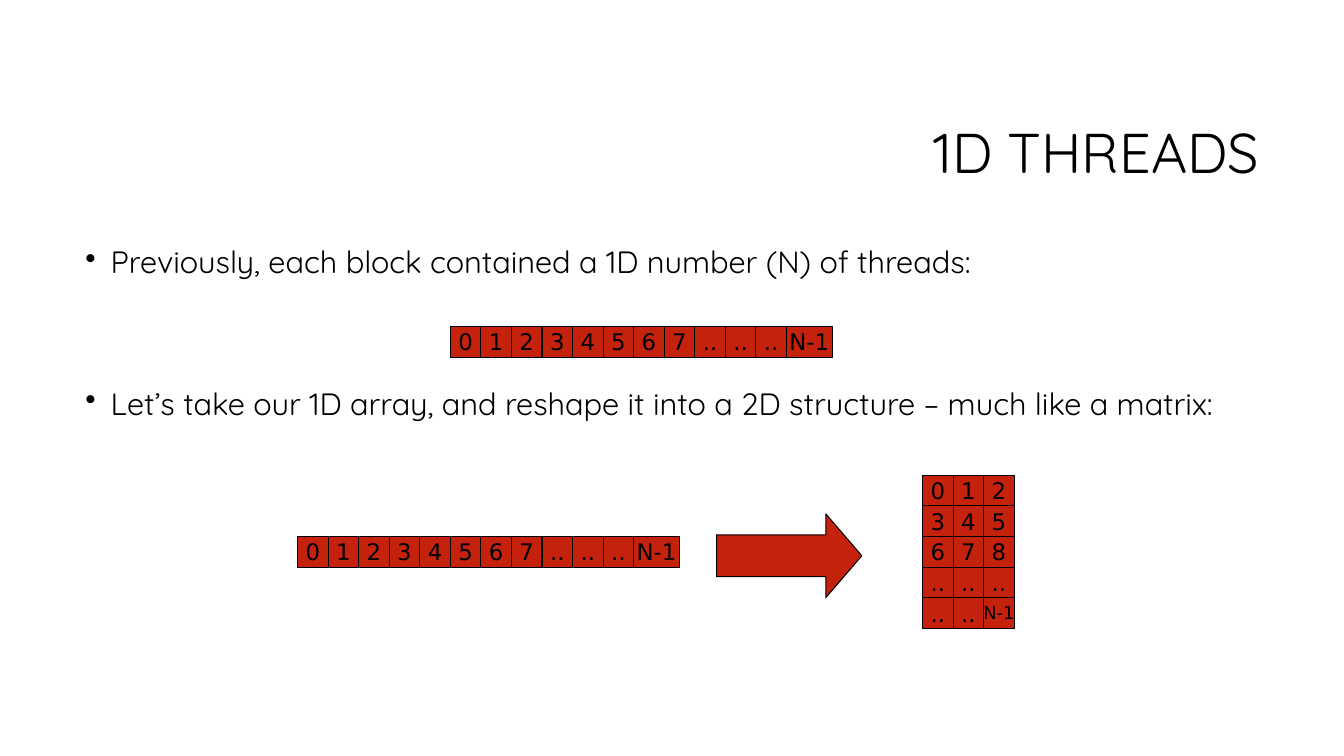
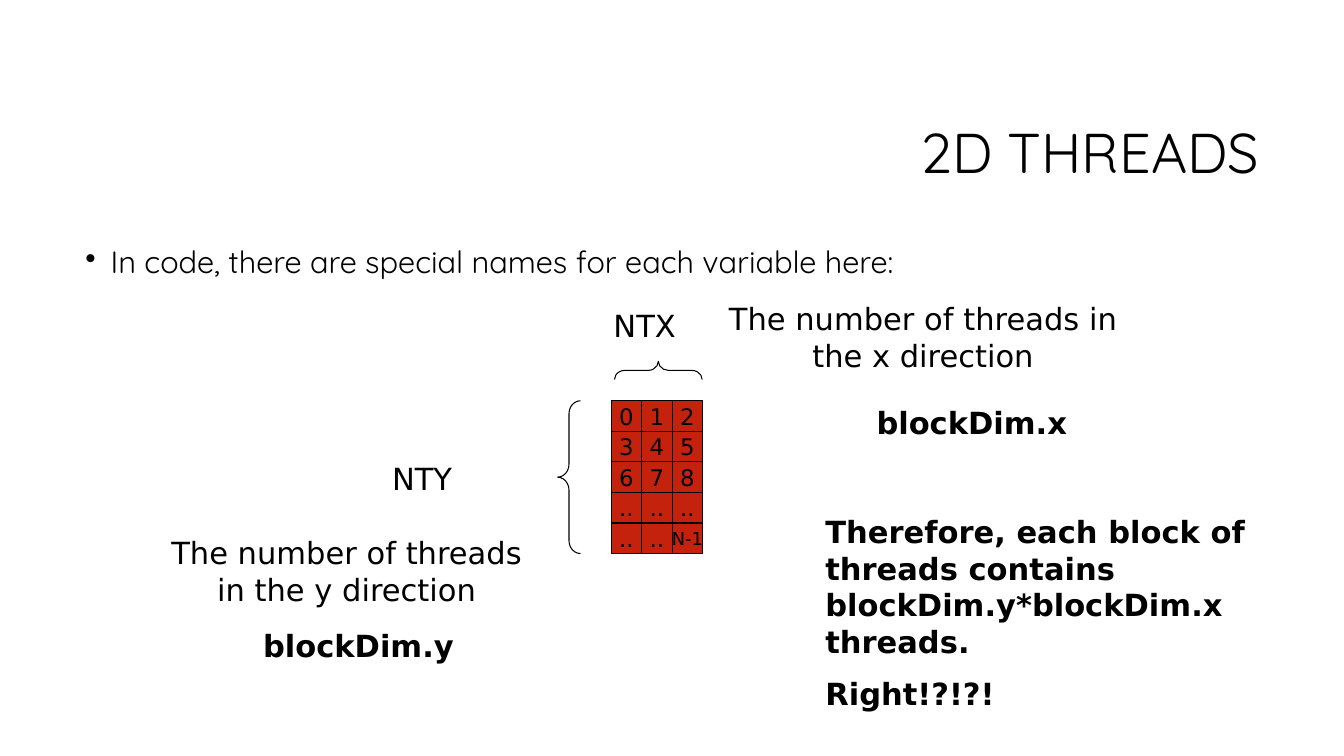
from lxml import etree
from pptx import Presentation
from pptx.dml.color import RGBColor
from pptx.enum.shapes import MSO_SHAPE as Shape
from pptx.enum.text import MSO_ANCHOR as Anchor, MSO_AUTO_SIZE as Fit, PP_ALIGN as Align
from pptx.oxml.ns import qn
from pptx.util import Cm, Pt

RED, BLACK = "C4220D", "000000"
HEAD, BODY = "Quicksand", "DejaVu Sans"
CELL = 0.77
ROW = ["0", "1", "2", "3", "4", "5", "6", "7", "..", "..", "..", "N-1"]
GRID = [
    ["0", "1", "2"],
    ["3", "4", "5"],
    ["6", "7", "8"],
    ["..", "..", ".."],
    ["..", "..", "N-1"],
]


def color(code):
    return RGBColor.from_string(code)


def style(para, size, font=BODY, bold=False, align=Align.LEFT):
    para.alignment = align
    for run in para.runs:
        run.font.name = font
        run.font.size = Pt(size)
        run.font.bold = bold
        run.font.color.rgb = color(BLACK)


def add_slide(deck, title):
    slide = deck.slides.add_slide(deck.slide_layouts[5])
    box = slide.shapes.title
    box.left, box.top, box.width, box.height = Cm(8.05), Cm(2.13), Cm(23.93), Cm(3.58)
    frame = box.text_frame
    frame.text = title
    frame.auto_size = Fit.NONE
    frame.vertical_anchor = Anchor.MIDDLE
    para = frame.paragraphs[0]
    para.line_spacing = 0.9
    style(para, 40, HEAD, align=Align.RIGHT)
    return slide


def add_text(slide, x, y, w, h, *lines, gap=0):
    """Add a wrapped text box, with the gap in points between its paragraphs."""
    box = slide.shapes.add_textbox(Cm(x), Cm(y), Cm(w), Cm(h))
    frame = box.text_frame
    frame.word_wrap = True
    frame.text = "\n".join(lines)
    for para in frame.paragraphs[1:]:
        para.space_before = Pt(gap)
    return frame.paragraphs


def add_bullets(slide, *lines, gap=0):
    for para in add_text(slide, 1.9, 6.1, 30.05, 11.18, *lines, gap=gap):
        props = para._p.get_or_add_pPr()
        props.set("marL", str(Cm(0.64)))
        props.set("indent", str(-Cm(0.64)))
        etree.SubElement(props, qn("a:buChar")).set("char", "•")
        para.line_spacing = 0.9
        style(para, 22, HEAD)


def add_label(slide, x, y, w, h, *lines, bold=False, align=Align.LEFT):
    for para in add_text(slide, x, y, w, h, *lines, gap=11):
        style(para, 21.8, bold=bold, align=align)


def add_form(slide, kind, x, y, w, h, fill=None):
    form = slide.shapes.add_shape(kind, Cm(x), Cm(y), Cm(w), Cm(h))
    form.shadow.inherit = False
    form.line.color.rgb = color(BLACK)
    form.line.width = Pt(0.75)
    if fill:
        form.fill.solid()
        form.fill.fore_color.rgb = color(fill)
    else:
        form.fill.background()
    return form


def add_cell(slide, x, y, text, width=CELL, size=16.3):
    frame = add_form(slide, Shape.RECTANGLE, x, y, width, CELL, RED).text_frame
    frame.margin_left = frame.margin_right = frame.margin_top = frame.margin_bottom = 0
    frame.word_wrap = False
    frame.vertical_anchor = Anchor.MIDDLE
    frame.text = text
    style(frame.paragraphs[0], size, align=Align.CENTER)


def add_row(slide, x, y):
    for col, text in enumerate(ROW):
        add_cell(slide, x + col * CELL, y, text, 1.15 if text == "N-1" else CELL)


def add_grid(slide, x, y):
    for row, texts in enumerate(GRID):
        for col, text in enumerate(texts):
            size = 12.7 if text == "N-1" else 16.3
            add_cell(slide, x + col * CELL, y + row * CELL, text, size=size)


def add_brace(slide, x, y, w, h, turn=0):
    brace = add_form(slide, Shape.LEFT_BRACE, x, y, w, h)
    brace.adjustments[0] = 0.56
    brace.rotation = turn


def build_first(deck):
    slide = add_slide(deck, "1D THREADS")
    add_bullets(
        slide,
        "Previously, each block contained a 1D number (N) of threads:",
        "Let’s take our 1D array, and reshape it into a 2D structure – much like a matrix:",
        gap=77.5,
    )
    add_row(slide, 11.35, 8.23)
    add_row(slide, 7.5, 13.52)
    add_grid(slide, 23.25, 11.98)
    arrow = add_form(slide, Shape.RIGHT_ARROW, 18.06, 12.95, 3.66, 2.11, RED)
    arrow.adjustments[1] = 0.43


def build_second(deck):
    slide = add_slide(deck, "2D THREADS")
    add_bullets(slide, "In code, there are special names for each variable here:")
    add_grid(slide, 15.4, 10.1)
    add_brace(slide, 14.05, 10.1, 0.58, 5 * CELL)
    add_brace(slide, 16.36, 8.23, 0.46, 2.21, turn=90)
    add_label(slide, 9.63, 11.46, 2.69, 1.19, "NTY")
    add_label(slide, 15.21, 7.6, 2.69, 1.19, "NTX")
    add_label(slide, 3.81, 13.34, 9.86, 2.11,
              "The number of threads in the y direction", align=Align.CENTER)
    add_label(slide, 17.88, 7.44, 10.77, 2.11,
              "The number of threads in the x direction", align=Align.CENTER)
    add_label(slide, 21.84, 10.06, 5.94, 1.19, "blockDim.x", bold=True)
    add_label(slide, 6.38, 15.67, 5.94, 1.19, "blockDim.y", bold=True)
    add_label(slide, 20.55, 12.8, 11.81, 5.38,
              "Therefore, each block of threads contains blockDim.y*blockDim.x threads.",
              "Right!?!?!", bold=True)


def main():
    deck = Presentation()
    deck.slide_width, deck.slide_height = Cm(33.87), Cm(19.05)
    build_first(deck)
    build_second(deck)
    deck.save("out.pptx")


if __name__ == "__main__":
    main()
